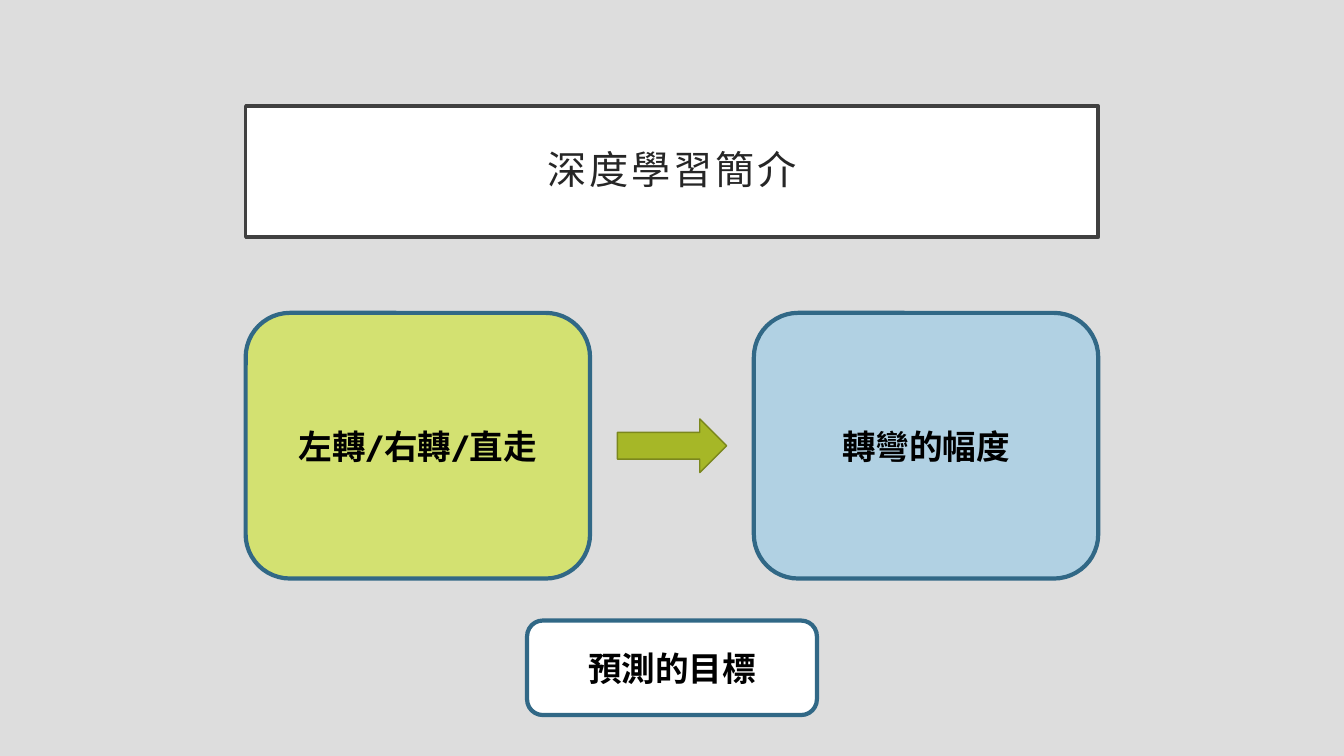
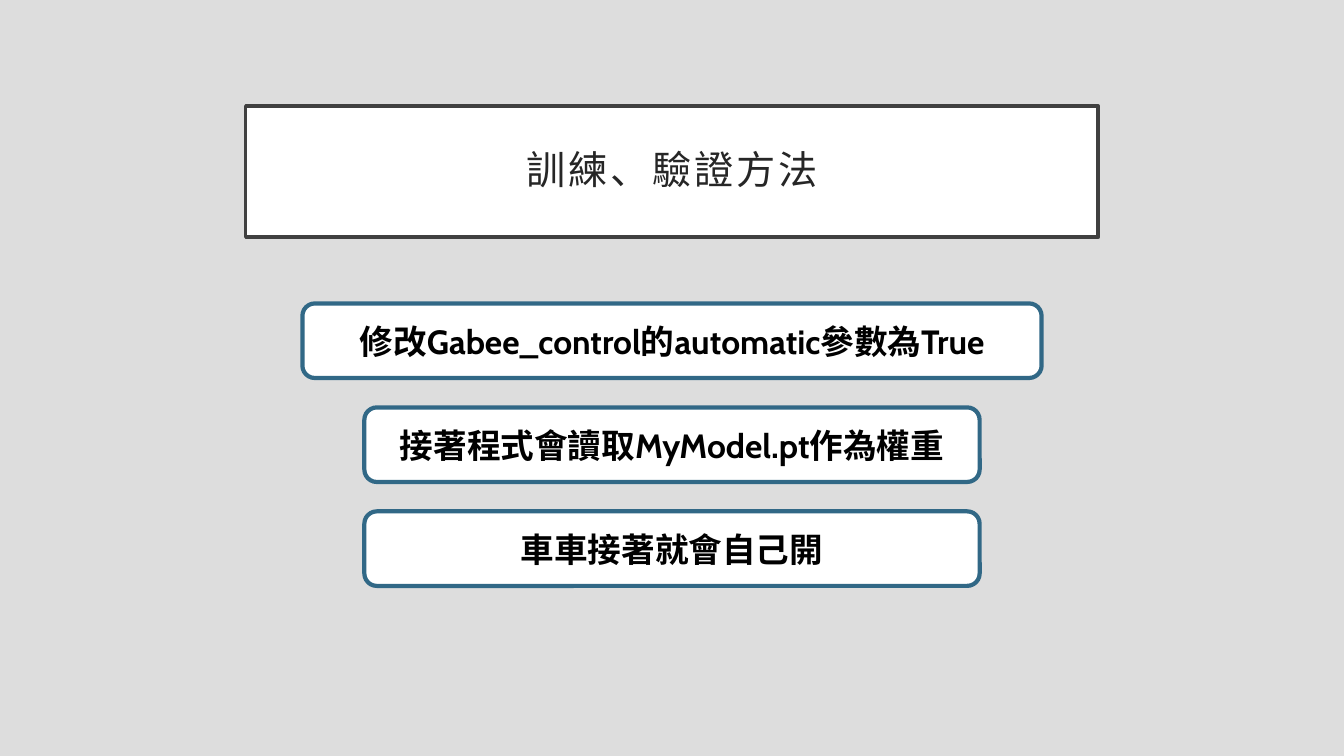
from dataclasses import dataclass

from pptx import Presentation
from pptx.dml.color import RGBColor
from pptx.enum.shapes import MSO_SHAPE
from pptx.enum.text import MSO_ANCHOR, PP_ALIGN
from pptx.util import Emu, Pt

RECT = MSO_SHAPE.RECTANGLE
ROUND = MSO_SHAPE.ROUNDED_RECTANGLE
ARROW = MSO_SHAPE.RIGHT_ARROW
MIDDLE = MSO_ANCHOR.MIDDLE
CENTER = PP_ALIGN.CENTER

WIDE, HIGH = 1280, 720
FONT = "Cabin"
GRAY, WHITE, BLACK = "DDDDDD", "FFFFFF", "000000"
FRAME, INK = "404040", "262626"
EDGE, LIME, SKY = "316886", "D3E171", "B1D1E3"
OLIVE, MOSS = "A6B727", "7B871D"

TITLE_W, TITLE_PAD = 812, 19
MARGIN = (WIDE - TITLE_W) // 2
PAIR_Y, PAIR_W, PAIR_H = 298, 328, 253
ARROW_W, ARROW_H = 104, 51
STEP_Y, STEP_H, STEP_GAP = 289, 71, 28


@dataclass(frozen=True)
class Box:
    left: int
    top: int
    width: int
    height: int


@dataclass(frozen=True)
class Card:
    text: str
    box: Box
    fill: str = WHITE


def px(count: int) -> Emu:
    return Emu(count * 9525)


def color(code: str) -> RGBColor:
    return RGBColor.from_string(code)


def mid(top: int, width: int, height: int) -> Box:
    """Box centred across the slide."""
    return Box((WIDE - width) // 2, top, width, height)


def draw(slide, kind, box: Box, fill: str, line: str, weight: float):
    shape = slide.shapes.add_shape(
        kind, px(box.left), px(box.top), px(box.width), px(box.height))
    shape.shadow.inherit = False
    shape.fill.solid()
    shape.fill.fore_color.rgb = color(fill)
    shape.line.color.rgb = color(line)
    shape.line.width = Pt(weight)
    return shape


def write(shape, text: str, size: int, ink: str, bold: bool):
    frame = shape.text_frame
    frame.word_wrap = True
    frame.vertical_anchor = MIDDLE
    para = frame.paragraphs[0]
    para.text = text
    para.alignment = CENTER
    para.font.name = FONT
    para.font.size = Pt(size)
    para.font.bold = bold
    para.font.color.rgb = color(ink)
    return frame


def add_page(deck, title: str):
    """Blank slide with the shared background and framed title."""
    slide = deck.slides.add_slide(deck.slide_layouts[6])
    slide.background.fill.solid()
    slide.background.fill.fore_color.rgb = color(GRAY)
    shape = draw(slide, RECT, mid(101, TITLE_W, 125), WHITE, FRAME, 2.5)
    frame = write(shape, title, 28, INK, False)
    frame.margin_left = frame.margin_right = px(TITLE_PAD)
    frame.margin_top = frame.margin_bottom = px(TITLE_PAD)
    para = frame.paragraphs[0]
    para.line_spacing = 0.9
    para.runs[0]._r.get_or_add_rPr().set("spc", "200")
    return slide


def add_cards(slide, cards: list[Card]) -> None:
    for card in cards:
        shape = draw(slide, ROUND, card.box, card.fill, EDGE, 3)
        write(shape, card.text, 24, BLACK, True)


def intro(deck) -> None:
    slide = add_page(deck, "深度學習簡介")
    right = WIDE - MARGIN - PAIR_W
    add_cards(slide, [
        Card("左轉/右轉/直走", Box(MARGIN, PAIR_Y, PAIR_W, PAIR_H), LIME),
        Card("預測的目標", mid(591, 276, 90)),
        Card("轉彎的幅度", Box(right, PAIR_Y, PAIR_W, PAIR_H), SKY),
    ])
    top = PAIR_Y + (PAIR_H - ARROW_H) // 2
    draw(slide, ARROW, mid(top, ARROW_W, ARROW_H), OLIVE, MOSS, 1)


def method(deck) -> None:
    slide = add_page(deck, "訓練、驗證方法")
    steps = [
        ("修改Gabee_control的automatic參數為True", 704),
        ("接著程式會讀取MyModel.pt作為權重", 586),
        ("車車接著就會自己開", 586),
    ]
    add_cards(slide, [
        Card(text, mid(STEP_Y + i * (STEP_H + STEP_GAP), width, STEP_H))
        for i, (text, width) in enumerate(steps)
    ])


def main() -> None:
    deck = Presentation()
    deck.slide_width, deck.slide_height = px(WIDE), px(HIGH)
    intro(deck)
    method(deck)
    deck.save("out.pptx")


if __name__ == "__main__":
    main()
